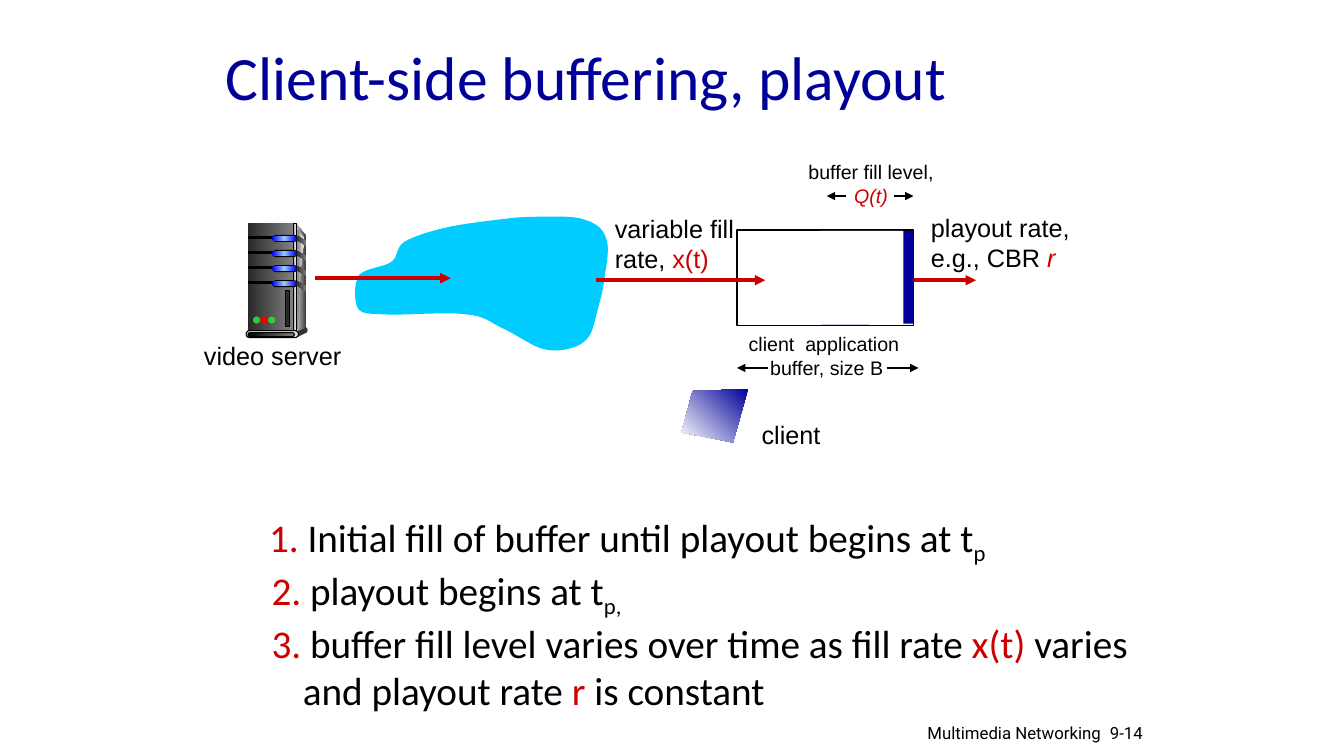
from lxml import etree
from pptx import Presentation
from pptx.dml.color import RGBColor
from pptx.enum.shapes import MSO_CONNECTOR, MSO_SHAPE
from pptx.enum.text import MSO_ANCHOR, PP_ALIGN
from pptx.oxml.ns import qn
from pptx.util import Emu, Inches, Pt

RECT, ROUND, OVAL = MSO_SHAPE.RECTANGLE, MSO_SHAPE.ROUNDED_RECTANGLE, MSO_SHAPE.OVAL
STRAIGHT = MSO_CONNECTOR.STRAIGHT
LEFT, CENTER, RIGHT = PP_ALIGN.LEFT, PP_ALIGN.CENTER, PP_ALIGN.RIGHT
TOP, MIDDLE = MSO_ANCHOR.TOP, MSO_ANCHOR.MIDDLE

COLS, ROWS = 133.3, 75
WIDTH, HEIGHT = Inches(13.33), Inches(7.5)
NAVY, RED, BLACK, WHITE, CYAN = "000099", "CC0000", "000000", "FFFFFF", "00CCFF"
CHARCOAL, GREY, DARK, PALE = "292929", "808080", "333333", "DDDDDD"
GLOW = ("0000FF", "99CCFF", "0000FF")


def rgb(value):
    return RGBColor.from_string(value)


def x(col):
    return Emu(round(col * WIDTH / COLS))


def y(row):
    return Emu(round(row * HEIGHT / ROWS))


class Sketch:
    """Draws on one slide; lengths are grid columns and rows."""

    def __init__(self, slide):
        self.shapes = slide.shapes

    def paint(self, sp, fill, line, angle):
        """Apply a hex fill, a tuple of evenly spaced gradient stops, or no fill."""
        sp.shadow.inherit = False
        if fill is None:
            sp.fill.background()
        elif isinstance(fill, str):
            sp.fill.solid()
            sp.fill.fore_color.rgb = rgb(fill)
        else:
            sp.fill.gradient()
            grad = sp._element.spPr.find(qn("a:gradFill"))
            for child in list(grad):
                grad.remove(child)
            stops = etree.SubElement(grad, qn("a:gsLst"))
            for i, color in enumerate(fill):
                gs = etree.SubElement(stops, qn("a:gs"), pos=str(100000 * i // (len(fill) - 1)))
                etree.SubElement(gs, qn("a:srgbClr"), val=color)
            etree.SubElement(grad, qn("a:lin"), ang=str(angle * 60000), scaled="0")
        if line:
            sp.line.color.rgb = rgb(BLACK)
            sp.line.width = Pt(line)
        else:
            sp.line.fill.background()

    def shape(self, kind, left, top, width, height, fill, line=0):
        sp = self.shapes.add_shape(kind, x(left), y(top), x(width), y(height))
        if kind == ROUND:
            sp.adjustments[0] = 0.5
        self.paint(sp, fill, line, 0)

    def outline(self, start, segments, fill, angle=0):
        """Closed outline; a segment is a line (x, y) or a curve (x1, y1, x2, y2, x, y)."""
        fb = self.shapes.build_freeform(x(start[0]), y(start[1]), scale=1.0)
        fb.add_line_segments([(x(seg[-2]), y(seg[-1])) for seg in segments], close=True)
        sp = fb.convert_to_shape()
        for node, seg in zip(list(sp._element.iter(qn("a:lnTo"))), segments):
            if len(seg) == 6:
                node.tag = qn("a:cubicBezTo")
                node.remove(node[0])
                for col, row in zip(seg[::2], seg[1::2]):
                    etree.SubElement(node, qn("a:pt"), x=str(x(col) - sp.left),
                                     y=str(y(row) - sp.top))
        self.paint(sp, fill, 0, angle)

    def arrow(self, start, end, row, color=BLACK, width=1.25):
        line = self.shapes.add_connector(STRAIGHT, x(start), y(row), x(end), y(row))
        line.line.color.rgb = rgb(color)
        line.line.width = Pt(width)
        etree.SubElement(line.line._get_or_add_ln(), qn("a:tailEnd"), type="triangle")
        etree.SubElement(line._element.spPr, qn("a:effectLst"))

    def text(self, box, paragraphs, size, font="Arial", color=BLACK, align=LEFT,
             anchor=TOP, wrap=True, hang=0):
        """Each paragraph is a list of runs: text, or (text, colour, style)."""
        left, top, width, height = box
        tf = self.shapes.add_textbox(x(left), y(top), x(width), y(height)).text_frame
        tf.word_wrap = wrap
        tf.vertical_anchor = anchor
        for i, runs in enumerate(paragraphs):
            p = tf.add_paragraph() if i else tf.paragraphs[0]
            p.alignment = align
            if hang and i:
                pPr = p._p.get_or_add_pPr()
                pPr.set("marL", str(x(hang)))
                pPr.set("indent", str(-x(hang)))
            p.font.name, p.font.size = font, Pt(size)
            p.font.color.rgb = rgb(color)
            for run in runs:
                words, tint, style = (run, None, None) if isinstance(run, str) else run
                r = p.add_run()
                r.text = words
                if tint:
                    r.font.color.rgb = rgb(tint)
                if style == "italic":
                    r.font.italic = True
                elif style == "sub":
                    r.font._element.set("baseline", "-25000")


def red(words, style=None):
    return words, RED, style


def sub(words):
    return words, None, "sub"


def draw_server(s):
    s.outline((29.4, 22.2), [(30.4, 23.5), (30.4, 32.6), (29.2, 33), (29.4, 22.2)], (PALE, DARK))
    s.shape(RECT, 24.6, 22.15, 4.5, 10.8, (CHARCOAL, GREY))
    s.outline((29.5, 22.8), [(29.5, 22.8, 29.6, 22.9, 30.2, 23.7),
                             (29.5, 27.7, 29.6, 32.9, 29.5, 32.7), (29.5, 22.8)],
              (GREY, "F8F8F8"))
    s.shape(RECT, 29.1, 22.15, 0.3, 10.8, (DARK, PALE, DARK), 0.75)
    for drive in range(4):
        top = 23.3 + 1.5 * drive
        s.shape(RECT, 24.7, top + 0.15, 2.6, 0.2, BLACK, 0.75)
        s.shape(ROUND, 27, top, 2.5, 0.7, BLACK)
        s.shape(ROUND, 27, top + 0.1, 2.4, 0.5, GLOW)
        flap = [(29.6, 0.1, 29.9, 0.4, 30.4, 0.6), (30.4, 0.8, 30.4, 0.8, 30.4, 1.1),
                (30.4, 1.1, 30, 0.8, 29.4, 0.5), (29.4, 0.3, 29.4, 0.1, 29.4, 0.1)]
        s.outline((29.4, top + 0.1),
                  [(a, top + b, c, top + d, e, top + f) for a, b, c, d, e, f in flap],
                  (CHARCOAL, GREY))
    s.shape(OVAL, 30.3, 32.5, 0.2, 0.5, DARK)
    s.outline((29.4, 32.9), [(29.4, 33.5), (30.4, 33), (30.4, 32.5), (29.4, 32.9)], DARK)
    s.shape(ROUND, 24.4, 32.8, 5.2, 0.7, PALE, 0.75)
    s.shape(ROUND, 24.6, 33, 4.6, 0.4, (BLACK, GREY), 0.75)
    for i, lamp in enumerate(("33CC33", "FF0000", "33CC33")):
        s.shape(OVAL, 25.1 + 0.75 * i, 31.4, 0.7, 0.7, lamp)
    s.shape(RECT, 28.3, 28.8, 0.4, 3.6, CHARCOAL, 0.75)
    s.text((19.25, 33.3, 16.4, 4), [["video server"]], 18, wrap=False)


def draw_network(s):
    s.outline((51, 21.6), [
        (49.4, 21.8, 46.5, 22.1, 44.6, 22.5), (42.8, 22.9, 41.1, 23.4, 40.1, 24),
        (39.2, 24.6, 39.6, 25.4, 38.8, 26), (38.1, 26.5, 36.2, 26.6, 35.6, 27.3),
        (35.1, 28.1, 35.1, 29.9, 35.5, 30.6), (36, 31.2, 36.5, 31.1, 38.3, 31.2),
        (40.1, 31.3, 44.4, 30.9, 46.3, 31.2), (48.2, 31.4, 48.5, 31.9, 49.7, 32.5),
        (50.9, 33, 52.4, 34.1, 53.5, 34.5), (54.6, 34.9, 55.6, 34.8, 56.4, 34.6),
        (57.2, 34.4, 57.9, 34.1, 58.4, 33.4), (58.9, 32.7, 59.1, 31.3, 59.4, 30.3),
        (59.7, 29.2, 59.9, 28.3, 60, 27.2), (60.2, 26.1, 60.5, 24.5, 60.1, 23.6),
        (59.8, 22.6, 59, 22.1, 58, 21.8), (57, 21.4, 55.3, 21.5, 54.1, 21.5),
        (52.9, 21.5, 52.5, 21.5, 51, 21.6)], CYAN)


def draw_rates(s):
    for start, end, row in ((31.2, 44.7, 27.6), (59.1, 75.9, 27.8), (89.7, 96.8, 27.8)):
        s.arrow(start, end, row, RED, 2.5)
    s.text((60, 20.65, 14.5, 7.1), [["variable fill"], ["rate, ", red("x(t)")]], 18, wrap=False)
    s.text((91.35, 20.55, 15.9, 7.1), [["playout rate,"], ["e.g., CBR ", red("r", "italic")]],
           18, wrap=False)


def draw_client(s):
    s.outline((74.2, 38.6), [(68.7, 38.8), (67.6, 42.9), (72.7, 43.9), (74.2, 38.6)],
              (NAVY, WHITE), 135)
    s.text((74.55, 41.1, 7.9, 4), [["client"]], 18, wrap=False)
    s.shape(RECT, 73.1, 22.8, 17.5, 9.5, None, 1.25)
    draw_rates(s)
    s.shape(RECT, 81.7, 22.9, 8.9, 9.2, NAVY)
    s.shape(RECT, 81.5, 23, 4.7, 9.2, NAVY)
    s.shape(RECT, 81.3, 22.9, 8.3, 9.3, WHITE)
    s.text((72.95, 32.45, 18.1, 5.7), [["client  application "], ["buffer, size B"]], 14,
           align=CENTER)
    s.text((78.6, 15.4, 15.6, 5.7), [["buffer fill level, ", red("Q(t)", "italic")]], 14,
           align=CENTER)
    for start, end, row in ((88, 91.1, 36.5), (76.2, 73.1, 36.5),
                            (83.9, 82, 19.45), (88.7, 90.6, 19.45)):
        s.arrow(start, end, row)


def write_steps(s):
    s.text((25.7, 50.4, 73.3, 5.7),
           [[red("1. "), "Initial fill of buffer until playout begins at t", sub("p")]],
           28, "Calibri", wrap=False)
    s.text((25.95, 55.65, 87.8, 15.1), [
        [red("2. "), "playout begins at t", sub("p,")],
        [red("3. "), "buffer fill level varies over time as fill rate", red(" x(t) "),
         "varies and playout rate ", red("r"), " is constant"]], 28, "Calibri", hang=3.1)


def main():
    prs = Presentation()
    prs.slide_width, prs.slide_height = WIDTH, HEIGHT
    s = Sketch(prs.slides.add_slide(prs.slide_layouts[6]))
    s.text((21.4, 1.25, 85, 12.5), [["Client-side buffering, playout"]], 44, "Calibri", NAVY,
           anchor=MIDDLE)
    draw_server(s)
    draw_network(s)
    draw_client(s)
    write_steps(s)
    s.text((109.1, 71.2, 7.5, 3), [["9-14"]], 12, "Roboto")
    s.text((88.6, 71.2, 21.6, 2.8), [["Multimedia Networking"]], 12, "Roboto", align=RIGHT)
    prs.save("out.pptx")


if __name__ == "__main__":
    main()
